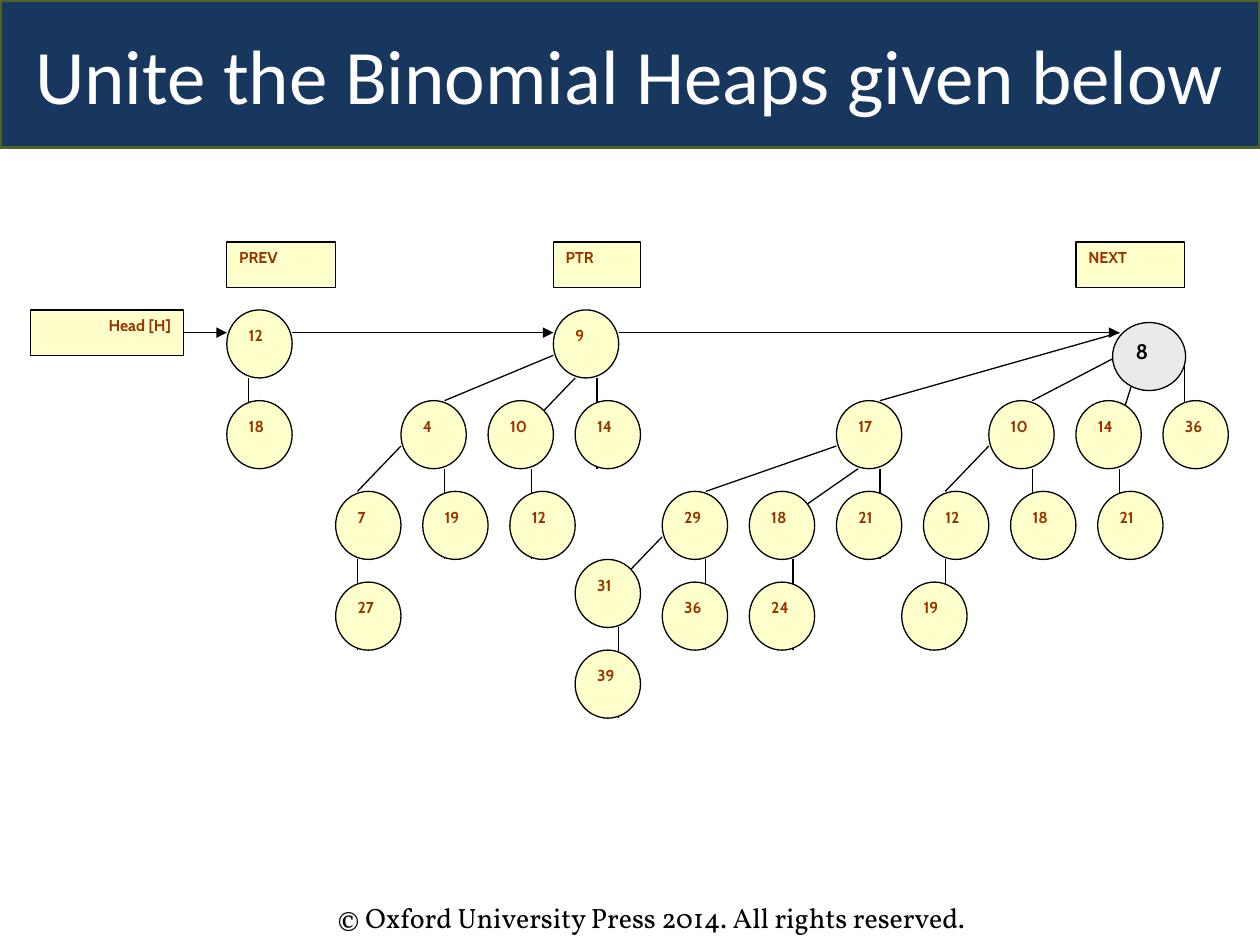
from pptx import Presentation
from pptx.util import Inches, Pt
from pptx.dml.color import RGBColor
from pptx.enum.shapes import MSO_SHAPE, MSO_CONNECTOR
from pptx.enum.text import PP_ALIGN, MSO_ANCHOR
from pptx.oxml.ns import qn
from lxml import etree

# Diagram grid: origin and cell size in inches
LEFT, TOP = 1.8, 1.92
COL, ROW = 7.43 / 43, 0.18


def rgb(value):
    return RGBColor.from_string(value)


def add_box(kind, x, y, w, h, text, size=9, font="Cabin", color="993300", bold=True,
            fill="FFFFCC", line="000000", weight=0.75, align=PP_ALIGN.LEFT,
            anchor=MSO_ANCHOR.TOP):
    sp = s.shapes.add_shape(kind, Inches(x), Inches(y), Inches(w), Inches(h))
    sp.shadow.inherit = False
    if fill:
        sp.fill.solid()
        sp.fill.fore_color.rgb = rgb(fill)
        sp.line.color.rgb = rgb(line)
        sp.line.width = Pt(weight)
    else:
        sp.fill.background()
        sp.line.fill.background()
    tf = sp.text_frame
    tf.word_wrap = True
    tf.vertical_anchor = anchor
    p = tf.paragraphs[0]
    p.alignment = align
    r = p.add_run()
    r.text = text
    r.font.size = Pt(size)
    r.font.name = font
    r.font.bold = bold
    r.font.color.rgb = rgb(color)
    return sp


prs = Presentation()
prs.slide_width, prs.slide_height = Inches(10), Inches(7.5)
s = prs.slides.add_slide(prs.slide_layouts[6])

# Footer and title bar
add_box(MSO_SHAPE.RECTANGLE, 2.58, 7.1, 5.92, 0.37,
        "© Oxford University Press 2014. All rights reserved.",
        size=16, font="Vollkorn", color="000000", bold=False, fill=None)
title = add_box(MSO_SHAPE.ROUNDED_RECTANGLE, 0, 0, 10, 1.17,
                "Unite the Binomial Heaps given below", size=44, font="Calibri",
                color="FFFFFF", bold=False, fill="17375E", line="4F6228", weight=2,
                align=PP_ALIGN.CENTER, anchor=MSO_ANCHOR.MIDDLE)
title.adjustments[0] = 0

# Links in grid units: from column, row to column, row
root_links = [(-2, 4, 0, 4), (3, 4, 15, 4), (18, 4, 41, 4)]
slanted_links = [
    (16, 6, 14, 8), (15, 5, 10, 7), (8, 9, 6, 11),
    (42, 5, 41, 8), (41, 5, 37, 7), (35, 9, 33, 11), (30, 7, 41, 4),
    (29, 10, 26, 12), (28, 9, 22, 11), (20, 13, 18, 15),
]
# Vertical links span four rows and end behind the child node
drops = [(17, 6), (10, 10), (14, 10), (6, 14), (44, 5), (37, 10), (41, 10),
         (33, 14), (30, 10), (26, 14), (22, 14), (18, 17)]
vertical_links = [(1, 6, 1, 8.5)] + [(c, r, c, r + 4) for c, r in drops]

for link in root_links + slanted_links + vertical_links:
    c1, r1, c2, r2 = link
    cn = s.shapes.add_connector(
        MSO_CONNECTOR.STRAIGHT,
        Inches(LEFT + c1 * COL), Inches(TOP + r1 * ROW),
        Inches(LEFT + c2 * COL), Inches(TOP + r2 * ROW))
    cn.line.color.rgb = rgb("000000")
    cn.line.width = Pt(0.75)
    if link in root_links:
        etree.SubElement(cn.line._get_or_add_ln(), qn("a:tailEnd"), type="triangle")
    etree.SubElement(cn._element.spPr, qn("a:effectLst"))

# Heap nodes by grid row: column and key
nodes = {
    3: [(0, 12), (15, 9)],
    7: [(0, 18), (8, 4), (12, 10), (16, 14), (28, 17), (35, 10), (39, 14), (43, 36)],
    11: [(5, 7), (9, 19), (13, 12), (20, 29), (24, 18), (28, 21), (32, 12), (36, 18),
         (40, 21)],
    14: [(16, 31)],
    15: [(5, 27), (20, 36), (24, 24), (31, 19)],
    18: [(16, 39)],
}
for row, items in nodes.items():
    for col, key in items:
        add_box(MSO_SHAPE.OVAL, LEFT + col * COL, TOP + row * ROW, 3 * COL, 3 * ROW,
                str(key))

# Pointer labels: column, row, width in columns
labels = [("Head [H]", -9, 3, 7, PP_ALIGN.RIGHT), ("PREV", 0, 0, 5, PP_ALIGN.LEFT),
          ("PTR", 15, 0, 4, PP_ALIGN.LEFT), ("NEXT", 39, 0, 5, PP_ALIGN.LEFT)]
for text, col, row, cols, align in labels:
    add_box(MSO_SHAPE.RECTANGLE, LEFT + col * COL, TOP + row * ROW, cols * COL, 2 * ROW,
            text, align=align)

# Highlighted root
add_box(MSO_SHAPE.OVAL, 8.83, 2.56, 0.58, 0.54, "8", size=12, color="000000",
        fill="EAEAEA")

prs.save("out.pptx")
